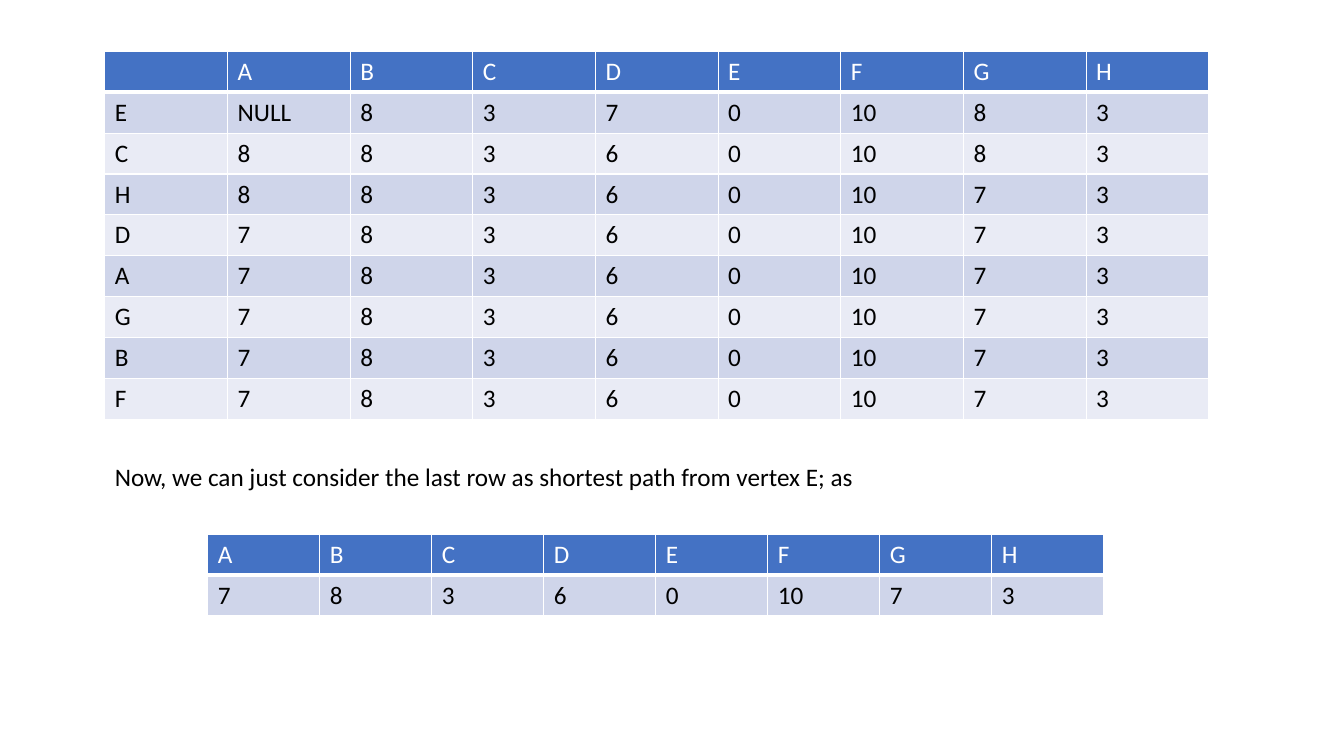
from dataclasses import dataclass

from lxml import etree
from pptx import Presentation
from pptx import util as u
from pptx.dml.color import RGBColor
from pptx.enum import text
from pptx.oxml import ns

HEADER_BLUE = RGBColor(0x44, 0x72, 0xC4)
BAND_DARK = RGBColor(0xCF, 0xD5, 0xEA)
BAND_LIGHT = RGBColor(0xE9, 0xEB, 0xF5)
WHITE = RGBColor(0xFF, 0xFF, 0xFF)
BLACK = RGBColor(0x00, 0x00, 0x00)

FONT_NAME = "Calibri"
FONT_SIZE = u.Pt(18)
SLIDE_WIDTH = u.Inches(13.33)
SLIDE_HEIGHT = u.Inches(7.5)
ROW_HEIGHT = u.Pt(29.2)

# Lengths of the layout, in inches
MARGIN_LEFT = 1.04
CONTENT_WIDTH = 10.95


@dataclass(frozen=True)
class DistanceTable:
    left: float
    top: float
    width: float
    rows: list[list[str]]


VERTICES = list("ABCDEFGH")
SHORTEST = "7 8 3 6 0 10 7 3".split()

STEPS = DistanceTable(
    MARGIN_LEFT, 0.51, CONTENT_WIDTH,
    [
        ["", *VERTICES],
        "E NULL 8 3 7 0 10 8 3".split(),
        "C 8 8 3 6 0 10 8 3".split(),
        "H 8 8 3 6 0 10 7 3".split(),
        *([vertex, *SHORTEST] for vertex in "DAGBF"),
    ],
)
RESULT = DistanceTable(2.06, 5.3, 8.89, [VERTICES, SHORTEST])


def style_paragraph(paragraph, color: RGBColor) -> None:
    font = paragraph.font
    font.name = FONT_NAME
    font.size = FONT_SIZE
    font.bold = False
    font.color.rgb = color


def add_borders(cell, is_header: bool) -> None:
    """Draw white cell borders, with a heavier rule below the header."""
    properties = cell._tc.get_or_add_tcPr()
    widths = {"lnL": 1, "lnR": 1, "lnT": 1, "lnB": 3 if is_header else 1}
    for index, (side, width) in enumerate(widths.items()):
        line = etree.Element(ns.qn(f"a:{side}"), w=str(u.Pt(width)))
        fill = etree.SubElement(line, ns.qn("a:solidFill"))
        etree.SubElement(fill, ns.qn("a:srgbClr"), val=str(WHITE))
        properties.insert(index, line)


def add_distance_table(slide, spec: DistanceTable) -> None:
    row_count, column_count = len(spec.rows), len(spec.rows[0])
    table = slide.shapes.add_table(
        row_count, column_count,
        u.Inches(spec.left), u.Inches(spec.top),
        u.Inches(spec.width), ROW_HEIGHT * row_count,
    ).table
    for row_index, values in enumerate(spec.rows):
        is_header = row_index == 0
        band = BAND_DARK if row_index % 2 else BAND_LIGHT
        for column_index, value in enumerate(values):
            cell = table.cell(row_index, column_index)
            cell.text = value
            cell.fill.solid()
            cell.fill.fore_color.rgb = HEADER_BLUE if is_header else band
            add_borders(cell, is_header)
            style_paragraph(cell.text_frame.paragraphs[0], WHITE if is_header else BLACK)


def add_explanation(slide, wording: str) -> None:
    shape = slide.shapes.add_textbox(
        u.Inches(MARGIN_LEFT), u.Inches(4.53), u.Inches(CONTENT_WIDTH), u.Inches(0.4)
    )
    frame = shape.text_frame
    frame.word_wrap = True
    frame.auto_size = text.MSO_AUTO_SIZE.SHAPE_TO_FIT_TEXT
    frame.text = wording
    style_paragraph(frame.paragraphs[0], BLACK)


def main() -> None:
    presentation = Presentation()
    presentation.slide_width = SLIDE_WIDTH
    presentation.slide_height = SLIDE_HEIGHT
    slide = presentation.slides.add_slide(presentation.slide_layouts[6])

    # Distances after each step, then the final row on its own
    add_distance_table(slide, STEPS)
    add_explanation(
        slide, "Now, we can just consider the last row as shortest path from vertex E; as"
    )
    add_distance_table(slide, RESULT)
    presentation.save("out.pptx")


if __name__ == "__main__":
    main()
